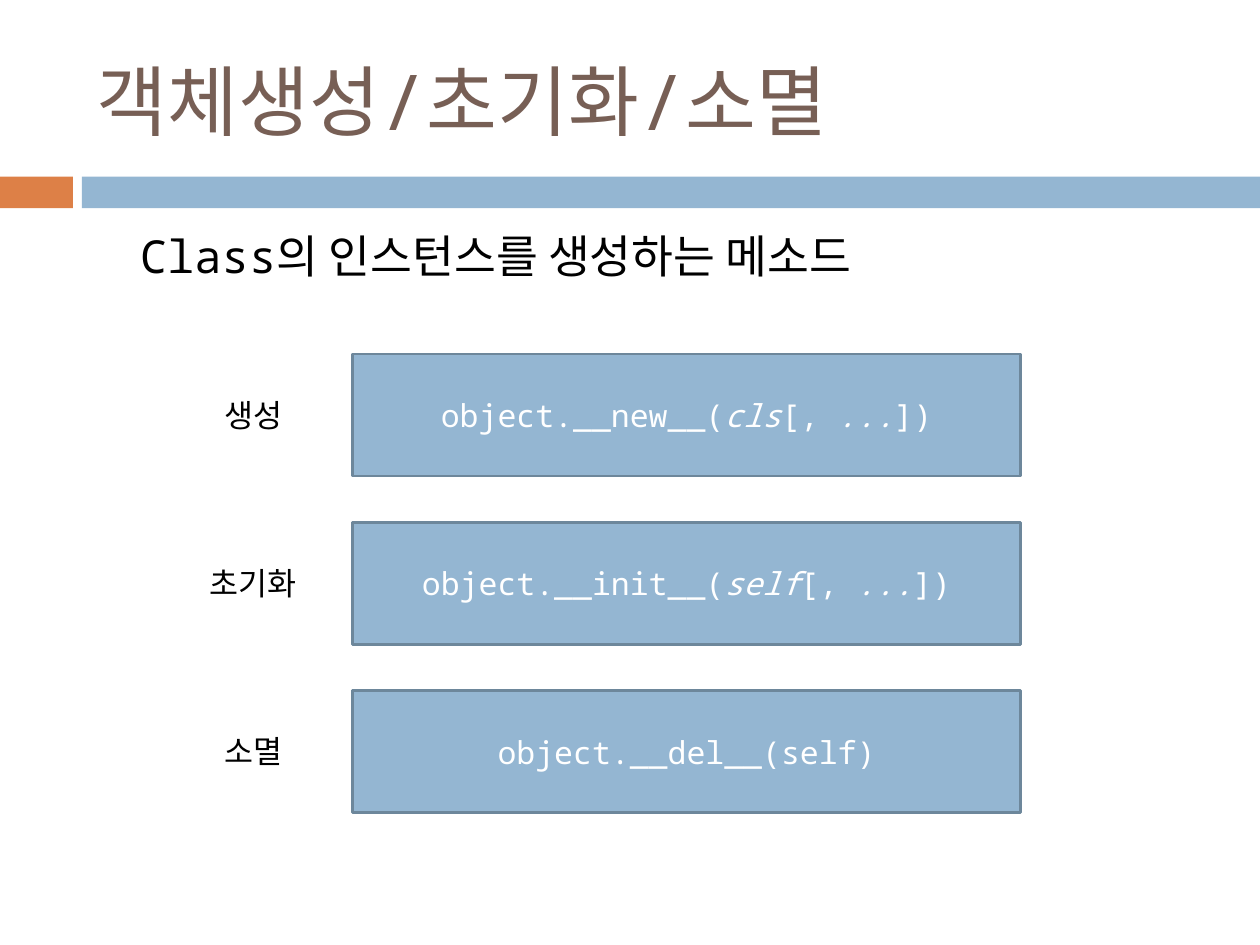
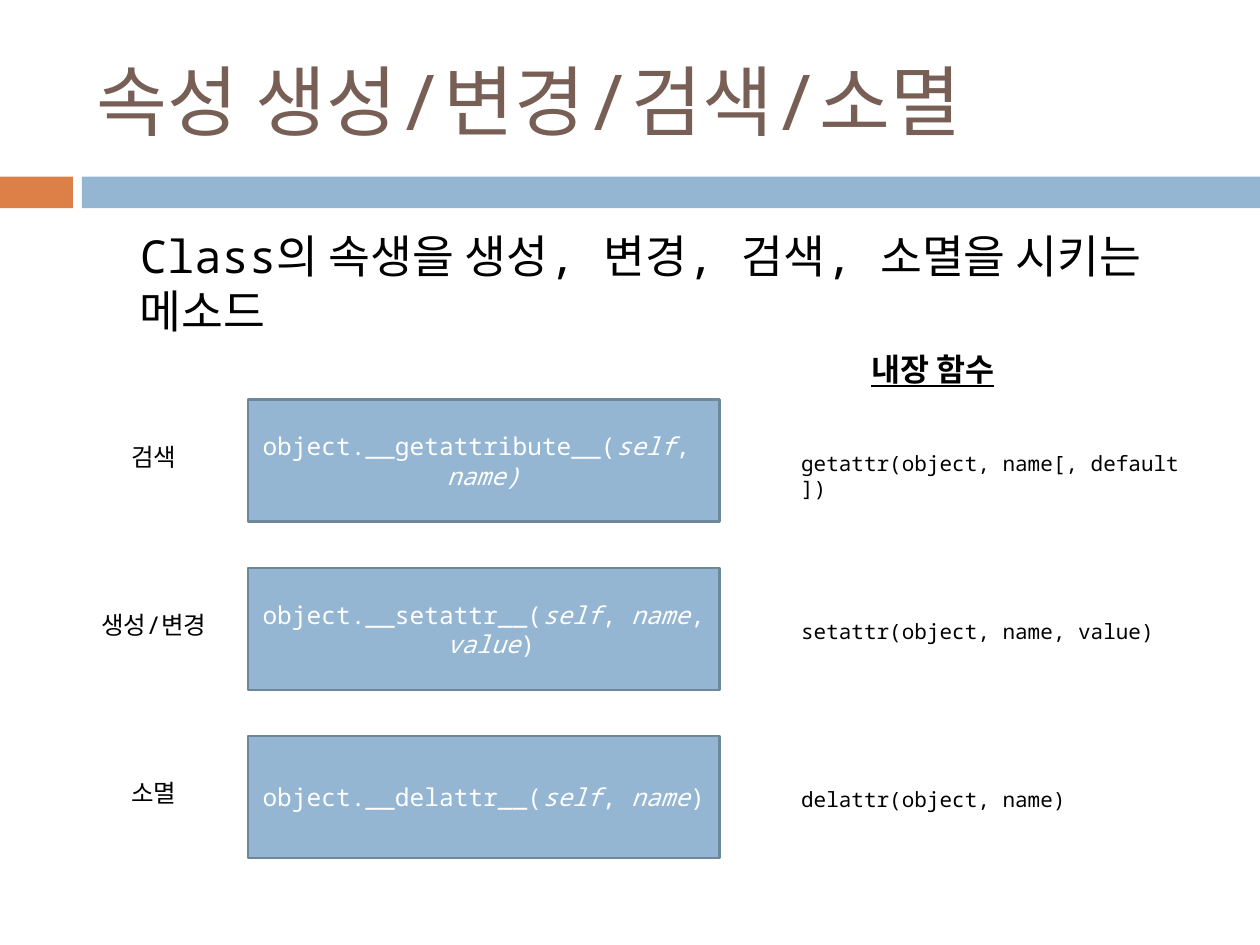
from pptx import Presentation
from pptx.dml.color import RGBColor
from pptx.enum.shapes import MSO_SHAPE
from pptx.enum.text import MSO_ANCHOR, PP_ALIGN
from pptx.util import Cm, Pt

RECT = MSO_SHAPE.RECTANGLE
TOP, MIDDLE = MSO_ANCHOR.TOP, MSO_ANCHOR.MIDDLE
LEFT, CENTER = PP_ALIGN.LEFT, PP_ALIGN.CENTER

FONT = "Noto Sans Mono"
BLUE, ORANGE, EDGE = "94B6D2", "DD8047", "6D879B"
BROWN, BLACK, WHITE = "775F55", "000000", "FFFFFF"
STEP = 3.39  # distance between rows
NBSP = chr(160)


def color(code):
    return RGBColor.from_string(code)


class Deck:
    def __init__(self):
        self.prs = Presentation()
        self.prs.slide_width = Cm(25.4)
        self.prs.slide_height = Cm(19.05)
        self.slide = None

    def page(self, title, lead):
        """Start a slide with its title, band and lead sentence."""
        self.slide = self.prs.slides.add_slide(self.prs.slide_layouts[6])
        self.rect((0, 3.56, 1.47, 0.64), ORANGE)
        self.rect((1.65, 3.56, 23.75, 0.64), BLUE)
        self.label((1.7, 0.64, 22.66, 2.74), title, 44, BROWN, anchor=MIDDLE)
        self.label((2.57, 4.47, 21.58, 2.54), lead, 26)

    def rect(self, area, fill, edge=None):
        shape = self.slide.shapes.add_shape(RECT, *map(Cm, area))
        shape.shadow.inherit = False
        shape.fill.solid()
        shape.fill.fore_color.rgb = color(fill)
        if edge:
            shape.line.color.rgb = color(edge)
            shape.line.width = Pt(1.5)
        else:
            shape.line.fill.background()
        return shape

    def put(self, frame, text, size, ink, align, anchor):
        """Fill a frame; parts between asterisks are italic."""
        frame.word_wrap = True
        frame.vertical_anchor = anchor
        para = frame.paragraphs[0]
        para.alignment = align
        para.line_spacing = Pt(size * 1.2)
        for num, part in enumerate(text.split("*")):
            if part:
                run = para.add_run()
                run.text = part
                run.font.name = FONT
                run.font.size = Pt(size)
                run.font.color.rgb = color(ink)
                run.font.italic = num % 2 == 1
        return para

    def label(self, area, text, size, ink=BLACK, align=LEFT, anchor=TOP):
        box = self.slide.shapes.add_textbox(*map(Cm, area))
        return self.put(box.text_frame, text, size, ink, align, anchor)

    def head(self, area, text, size):
        para = self.label(area, text, size, align=CENTER)
        for run in para.runs:
            run.font.bold = True
            run.font.underline = True

    def code(self, area, text, size):
        shape = self.rect(area, BLUE, EDGE)
        text = text.replace(" ", NBSP)
        self.put(shape.text_frame, text, size, WHITE, CENTER, MIDDLE)

    def rows(self, rows, top, left, width, mid, size):
        """Stack method boxes, each with a label centred on mid."""
        for num, (name, span, text) in enumerate(rows):
            y = top + num * STEP
            self.code((left, y, width, 2.46), text, size)
            self.label((mid - span / 2, y + 0.72, span, 1.02), name, size,
                       align=CENTER)


def main():
    deck = Deck()

    # Object life cycle
    deck.page("객체생성/초기화/소멸", "Class의 인스턴스를 생성하는 메소드")
    life = [
        ("생성", 1.8, "object.__new__(*cls*[, *...*])"),
        ("초기화", 2.44, "object.__init__(*self*[, *...*])"),
        ("소멸", 1.8, "object.__del__(self)"),
    ]
    deck.rows(life, top=7.14, left=7.11, width=13.46, mid=5.11, size=18)

    # Attribute access
    deck.page("속성 생성/변경/검색/소멸",
              "Class의 속생을 생성, 변경, 검색, 소멸을 시키는 메소드")
    attrs = [
        ("검색", 1.98, "object.__getattribute__(*self*, *name)*"),
        ("생성/변경", 3.76, "object.__setattr__(*self*, *name*, *value*)"),
        ("소멸", 1.98, "object.__delattr__(*self*, *name*)"),
    ]
    deck.rows(attrs, top=8.06, left=5, width=9.5, mid=3.1, size=14)

    # Built-in functions
    calls = [
        "getattr(object, name[, default])",
        "setattr(object, name, value)",
        "delattr(object, name)",
    ]
    for num, text in enumerate(calls):
        area = (15.9, 8.96 + num * STEP, 8.2, 0.76)
        deck.label(area, text.replace(" ", NBSP), 12)
    deck.head((16.1, 6.93, 5.41, 1.02), "내장 함수", 18)

    deck.prs.save("out.pptx")


if __name__ == "__main__":
    main()
